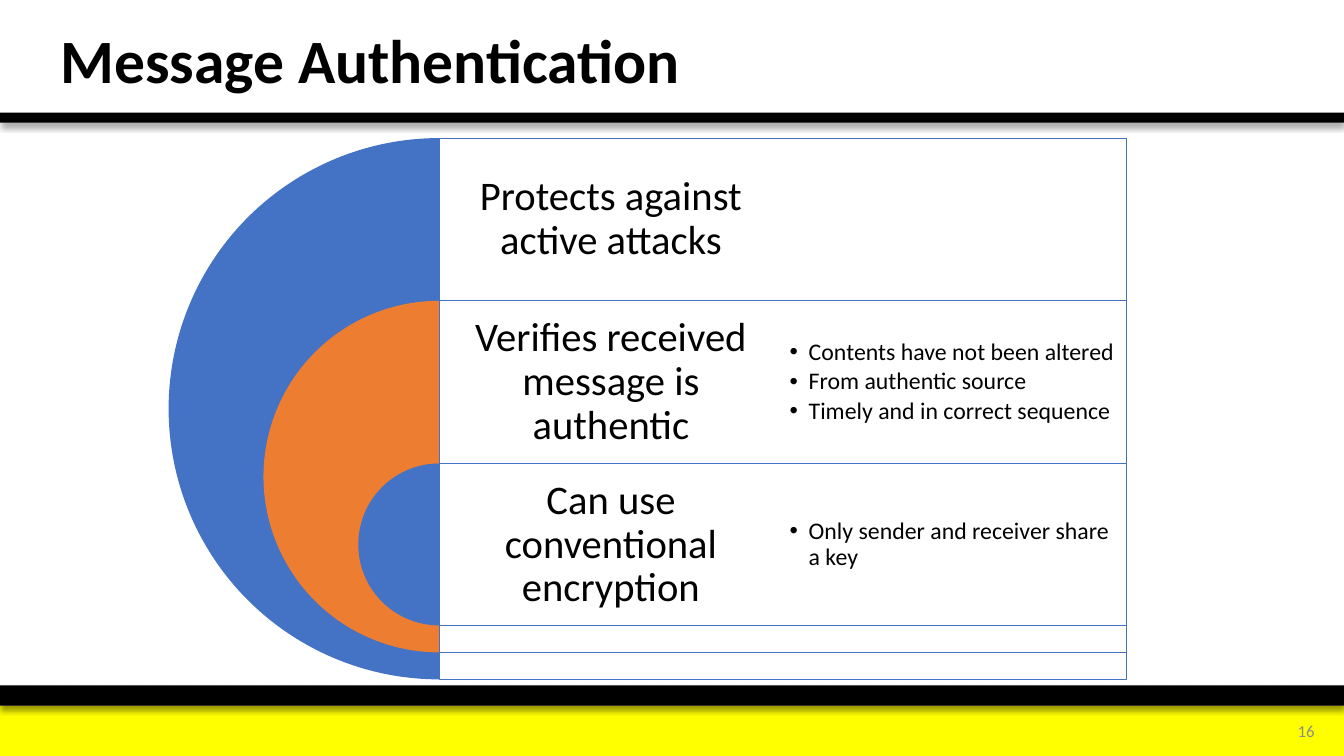
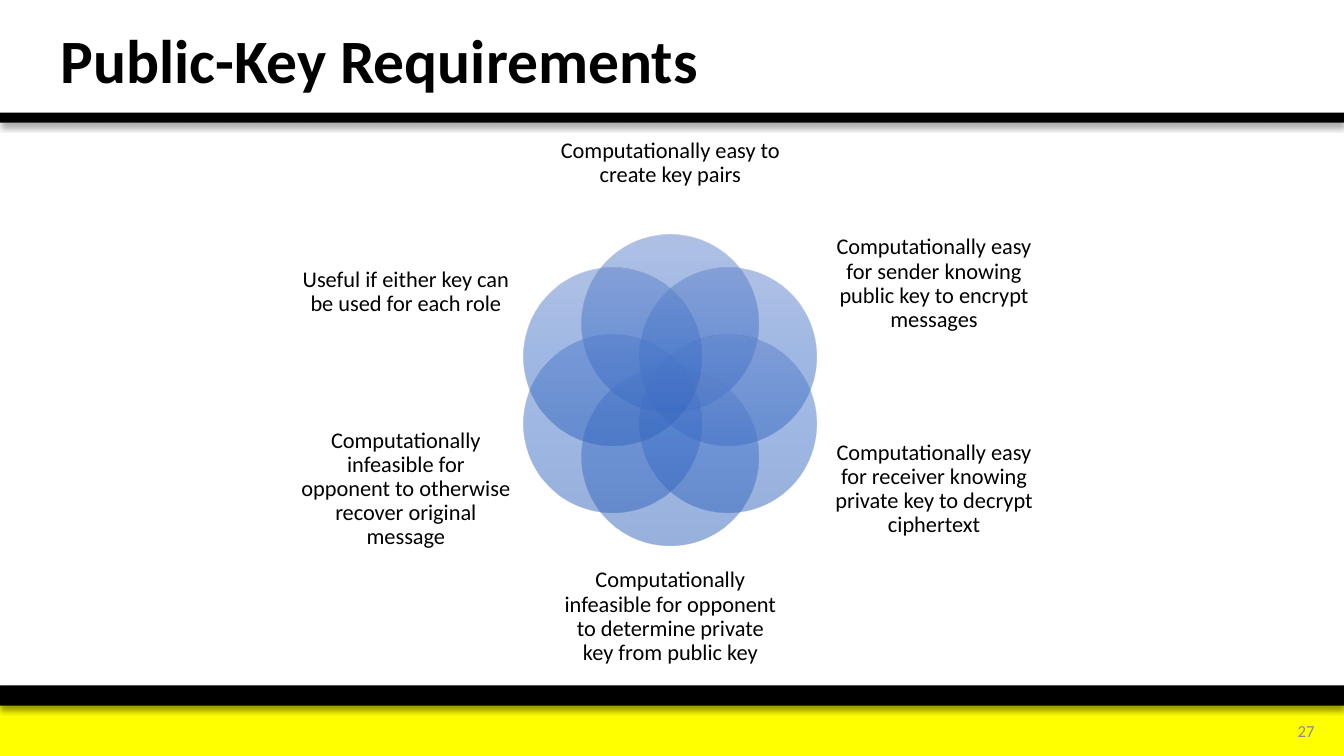
from math import cos, radians, sin

from pptx import Presentation
from pptx.dml.color import RGBColor
from pptx.enum.shapes import MSO_SHAPE
from pptx.enum.text import MSO_ANCHOR, MSO_AUTO_SIZE, PP_ALIGN
from pptx.oxml.ns import qn
from pptx.oxml.xmlchemy import OxmlElement
from pptx.util import Cm, Pt

COLORS = {
    "black": "000000",
    "white": "FFFFFF",
    "yellow": "FFFF00",
    "gray": "8C8C8C",
    "blue": "4472C4",
    "orange": "ED7D31",
    "petal_top": "6183CB",
    "petal_mid": "3E70CA",
    "petal_end": "3062BB",
}
FONT = "Calibri"
SLIDE_W, SLIDE_H = 33.87, 19.05
TITLE_ONLY, TWO_CONTENT = 5, 3

ROWS = [
    ("Protects against active attacks", "blue", []),
    ("Verifies received message is authentic", "orange",
     ["Contents have not been altered", "From authentic source",
      "Timely and in correct sequence"]),
    ("Can use conventional encryption", "blue",
     ["Only sender and receiver share a key"]),
]

REQUIREMENTS = [
    ("Computationally easy to create key pairs", (14.1, 2.59, 5.59, 3.05)),
    ("Computationally easy for sender knowing public key to encrypt messages",
     (20.9, 5.49, 5.28, 3.33)),
    ("Computationally easy for receiver knowing private key to decrypt ciphertext",
     (20.9, 10.46, 5.28, 3.73)),
    ("Computationally infeasible for opponent to determine private key from public key",
     (14.1, 14.02, 5.59, 3.05)),
    ("Computationally infeasible for opponent to otherwise recover original message",
     (7.59, 10.46, 5.28, 3.73)),
    ("Useful if either key can be used for each role", (7.59, 5.49, 5.28, 3.73)),
]


def rgb(name):
    return RGBColor.from_string(COLORS[name])


def add_child(parent, tag, **attrs):
    child = OxmlElement(tag)
    for key, value in attrs.items():
        child.set(key, str(value))
    parent.append(child)
    return child


def place(sp, box):
    sp.left, sp.top, sp.width, sp.height = (Cm(v) for v in box)


def add_shape(s, kind, box, fill=None, line=None):
    sp = s.shapes.add_shape(kind, *(Cm(v) for v in box))
    sp.shadow.inherit = False
    if fill:
        sp.fill.solid()
        sp.fill.fore_color.rgb = rgb(fill)
    if line:
        sp.line.color.rgb = rgb(line)
        sp.line.width = Pt(0.5)
    else:
        sp.line.fill.background()
    return sp


def add_band(s, top, height, color, shadow=True):
    sp = add_shape(s, MSO_SHAPE.RECTANGLE, (0, top, SLIDE_W, height), color)
    if shadow:
        effects = sp.element.spPr.find(qn("a:effectLst"))
        outer = add_child(effects, "a:outerShdw", blurRad=Pt(4), dist=Pt(3),
                          dir=5400000, algn="t", rotWithShape=0)
        clr = add_child(outer, "a:srgbClr", val=COLORS["black"])
        add_child(clr, "a:alpha", val=40000)


def setup_frame(tf, inset=None):
    tf.word_wrap = True
    tf.auto_size = MSO_AUTO_SIZE.NONE
    tf.vertical_anchor = MSO_ANCHOR.MIDDLE
    if inset is not None:
        tf.margin_left = tf.margin_right = Cm(inset)
        tf.margin_top = tf.margin_bottom = Cm(inset)


def write(p, text, size, align=PP_ALIGN.LEFT, color="black", bold=False):
    p.alignment = align
    p.line_spacing = 0.9
    p.space_before = Pt(0)
    r = p.add_run()
    r.text = text
    r.font.name = FONT
    r.font.size = Pt(size)
    r.font.bold = bold
    r.font.color.rgb = rgb(color)


def add_text(s, box, text, size, inset=None, align=PP_ALIGN.CENTER, color="black"):
    tf = s.shapes.add_textbox(*(Cm(v) for v in box)).text_frame
    setup_frame(tf, inset)
    write(tf.paragraphs[0], text, size, align, color)


def fill_list(s, body, box, items):
    place(body, box)
    s.shapes.element.append(body.element)
    tf = body.text_frame
    setup_frame(tf, 0.17)
    for i, item in enumerate(items):
        p = tf.add_paragraph() if i else tf.paragraphs[0]
        p.level = 1
        write(p, item, 17)
        p.space_after = Pt(2.5)
        pPr = p._p.get_or_add_pPr()
        pPr.set("marL", str(Cm(0.48)))
        pPr.set("indent", str(Cm(-0.48)))
        add_child(pPr, "a:buFont", typeface="Arial")
        add_child(pPr, "a:buChar", char="•")


def add_petal(s, box):
    sp = add_shape(s, MSO_SHAPE.OVAL, box)
    sp.fill.gradient()
    sp.fill.gradient_angle = 270
    stops = sp.element.spPr.find(qn("a:gradFill")).find(qn("a:gsLst"))
    for old in list(stops):
        stops.remove(old)
    for i, name in enumerate(("petal_top", "petal_mid", "petal_end")):
        gs = add_child(stops, "a:gs", pos=i * 50000)
        clr = add_child(gs, "a:srgbClr", val=COLORS[name])
        add_child(clr, "a:alpha", val=50000)


def new_slide(prs, layout, title, number):
    s = prs.slides.add_slide(prs.slide_layouts[layout])
    add_band(s, 17.78, 1.27, "yellow", shadow=False)
    add_band(s, 17.27, 0.51, "black")
    add_band(s, 2.84, 0.25, "black")
    add_text(s, (31.45, 17.93, 1.93, 1.02), number, 12,
             align=PP_ALIGN.RIGHT, color="gray")
    place(s.shapes.title, (1.27, 0.18, 22.86, 2.84))
    tf = s.shapes.title.text_frame
    setup_frame(tf)
    write(tf.paragraphs[0], title, 44, bold=True)
    return s


def authentication_slide(prs):
    s = new_slide(prs, TWO_CONTENT, "Message Authentication", "16")
    bodies = iter([s.placeholders[1], s.placeholders[2]])
    mid_x, top, step, col_w = 11.07, 3.48, 4.1, 8.66
    for i, (text, color, items) in enumerate(ROWS):
        y, d = top + i * step, 13.64 - i * 4.78
        pie = add_shape(s, MSO_SHAPE.PIE, (mid_x - d / 2, y, d, d), color)
        pie.adjustments[0], pie.adjustments[1] = 54, 162
        add_shape(s, MSO_SHAPE.RECTANGLE, (mid_x, y, 2 * col_w, d), "white", "blue")
        add_text(s, (mid_x, y, col_w, step), text, 29, 0.3)
        if items:
            fill_list(s, next(bodies), (mid_x + col_w, y, col_w, step), items)


def requirements_slide(prs):
    s = new_slide(prs, TITLE_ONLY, "Public-Key Requirements", "27")
    mid_x, mid_y, radius, d = 16.89, 9.83, 1.68, 4.47
    for i, (text, box) in enumerate(REQUIREMENTS):
        angle = radians(i * 360 / len(REQUIREMENTS))
        x = mid_x + radius * sin(angle)
        y = mid_y - radius * cos(angle)
        add_petal(s, (x - d / 2, y - d / 2, d, d))
        add_text(s, box, text, 16, 0)


def main():
    prs = Presentation()
    prs.slide_width, prs.slide_height = Cm(SLIDE_W), Cm(SLIDE_H)
    authentication_slide(prs)
    requirements_slide(prs)
    prs.save("out.pptx")


if __name__ == "__main__":
    main()
